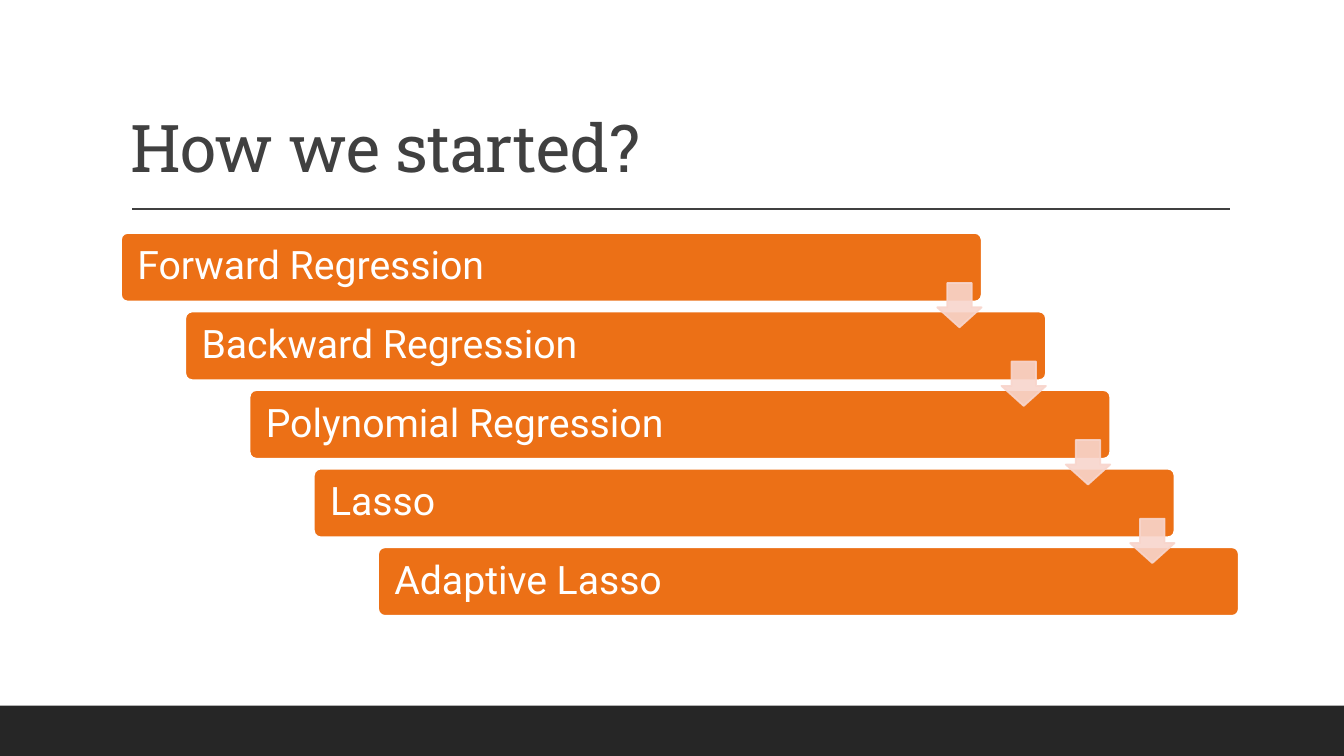
from lxml.etree import SubElement
from pptx import Presentation
from pptx.dml.color import RGBColor
from pptx.enum.shapes import MSO_CONNECTOR, MSO_SHAPE
from pptx.enum.text import MSO_ANCHOR as Anchor, PP_ALIGN as Align
from pptx.oxml.ns import qn
from pptx.util import Cm, Pt

TITLE = "How we started?"
STEPS = [
    "Forward Regression",
    "Backward Regression",
    "Polynomial Regression",
    "Lasso",
    "Adaptive Lasso",
]

WHITE = RGBColor(0xFF, 0xFF, 0xFF)
ORANGE = RGBColor(0xEC, 0x70, 0x16)
PINK = RGBColor(0xF8, 0xD5, 0xCC)
GREY = RGBColor(0x40, 0x40, 0x40)
DARK = RGBColor(0x26, 0x26, 0x26)

# Lengths in centimetres
WIDE, HIGH = 33.87, 19.05
FOOT = 1.27
LEFT, TOP = 3.05, 5.87
BAR_W, BAR_H = 21.69, 1.73
STEP_X, STEP_Y = 1.62, 1.98
ARROW = 1.12
ARROW_Y = 1.26


def add_block(slide, kind, box, fill, edge=None):
    shape = slide.shapes.add_shape(kind, *map(Cm, box))
    shape.shadow.inherit = False
    shape.fill.solid()
    shape.fill.fore_color.rgb = fill
    if edge is None:
        shape.line.fill.background()
    else:
        shape.line.color.rgb = edge
        shape.line.width = Pt(1.25)
    return shape


def set_text(shape, text, face, size, color, anchor, inset):
    frame = shape.text_frame
    frame.text = text
    frame.word_wrap = True
    frame.vertical_anchor = anchor
    frame.margin_left = frame.margin_right = Cm(inset)
    para = frame.paragraphs[0]
    para.alignment = Align.LEFT
    para.line_spacing = 0.9
    font = para.runs[0].font
    font.name, font.size = face, Pt(size)
    font.color.rgb = color
    return font


def add_title(slide):
    box = slide.shapes.add_textbox(Cm(LEFT), Cm(0.79), Cm(27.94), Cm(4.04))
    font = set_text(box, TITLE, "Roboto Slab", 47, GREY, Anchor.BOTTOM, 0.25)
    font._element.set("spc", "-50")


def add_rule(slide):
    rule = slide.shapes.add_connector(
        MSO_CONNECTOR.STRAIGHT, Cm(3.33), Cm(5.27), Cm(31), Cm(5.27))
    rule.line.color.rgb = GREY
    rule.line.width = Pt(1)
    SubElement(rule._element.spPr, qn("a:effectLst"))


def add_bar(slide, i, text):
    box = LEFT + i * STEP_X, TOP + i * STEP_Y, BAR_W, BAR_H
    bar = add_block(slide, MSO_SHAPE.ROUNDED_RECTANGLE, box, ORANGE, WHITE)
    bar.adjustments[0] = 0.1
    bar.text_frame.margin_top = bar.text_frame.margin_bottom = 0
    set_text(bar, text, "Roboto", 28, WHITE, Anchor.MIDDLE, 0.36)


def add_arrow(slide, i):
    """Drop an arrow from the right end of bar i onto the next bar."""
    x = LEFT + i * STEP_X + BAR_W - ARROW
    y = TOP + i * STEP_Y + ARROW_Y
    arrow = add_block(
        slide, MSO_SHAPE.DOWN_ARROW, (x, y, ARROW, ARROW), PINK, PINK)
    arrow.adjustments[0] = 0.55
    arrow.adjustments[1] = 0.45
    for color in arrow._element.spPr.iter(qn("a:srgbClr")):
        SubElement(color, qn("a:alpha")).set("val", "90000")


def main():
    deck = Presentation()
    deck.slide_width, deck.slide_height = Cm(WIDE), Cm(HIGH)
    slide = deck.slides.add_slide(deck.slide_layouts[6])
    add_block(slide, MSO_SHAPE.RECTANGLE, (0, HIGH - FOOT, WIDE, FOOT), DARK)
    add_rule(slide)
    add_title(slide)
    for i, text in enumerate(STEPS):
        add_bar(slide, i, text)
    for i in range(len(STEPS) - 1):
        add_arrow(slide, i)
    deck.save("out.pptx")


if __name__ == "__main__":
    main()
